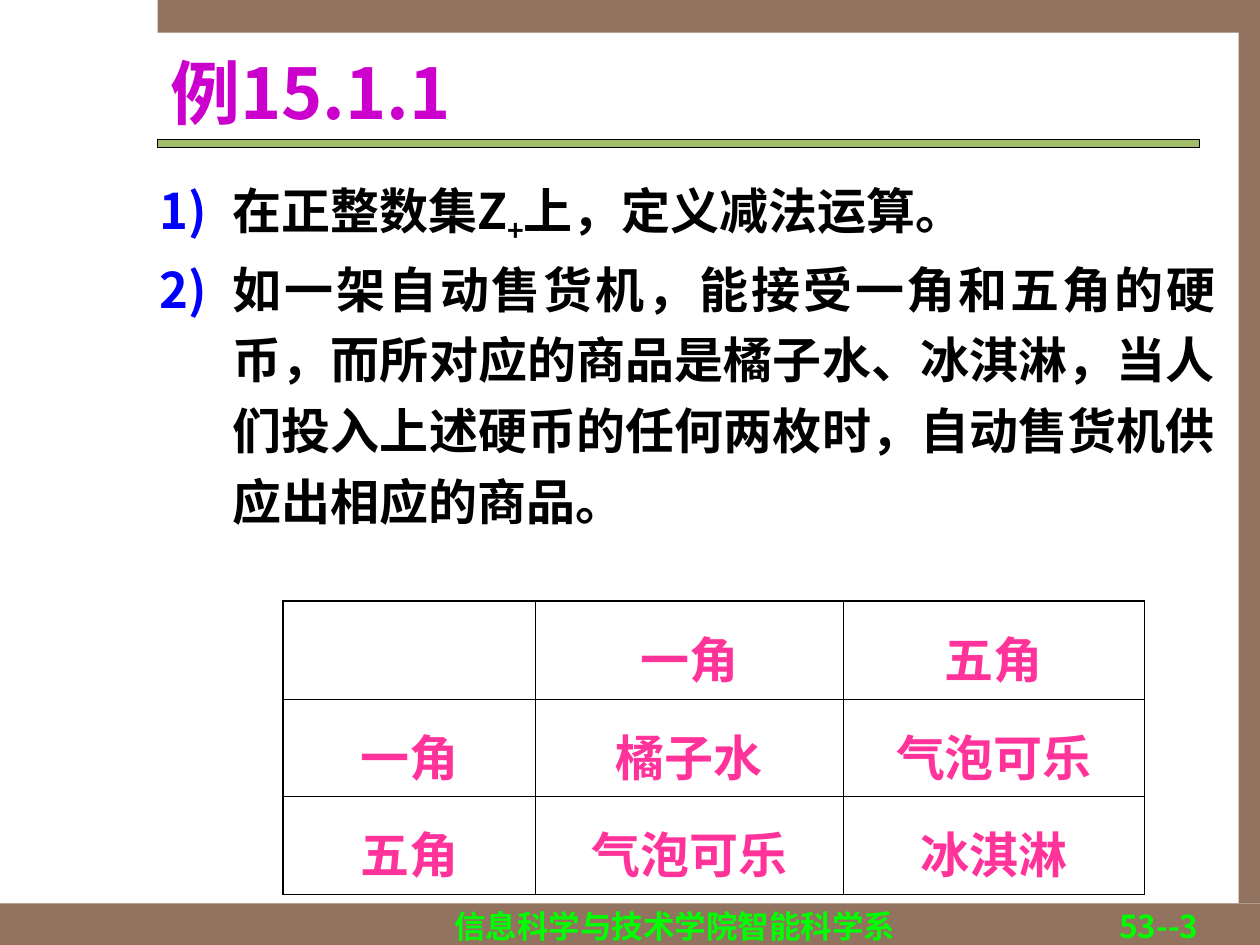
from lxml import etree
from pptx import Presentation
from pptx import util as u
from pptx.dml.color import RGBColor
from pptx.enum import shapes, text
from pptx.oxml import ns

# Content
TITLE = "例15.1.1"
ITEMS = [
    [("在正整数集Z", False), ("+", True), ("上，定义减法运算。", False)],
    [("如一架自动售货机，能接受一角和五角的硬币，而所对应的商品是橘子水、冰淇淋，"
      "当人们投入上述硬币的任何两枚时，自动售货机供应出相应的商品。", False)],
]
GRID = [
    ["", "一角", "五角"],
    ["一角", "橘子水", "气泡可乐"],
    ["五角", "气泡可乐", "冰淇淋"],
]
HEX = {"frame": "91735F", "rule": "A1BD69", "line": "000000", "foot": "00FF00",
       "title": "CC00CC", "body": "000000", "num": "0000FF", "cell": "FF3399"}
SANS, SERIF = "Noto Sans CJK SC", "Times New Roman"
ALIGN = text.PP_ALIGN

# Places in cm: left, top, width, height
FRAME = [(0, 18.21, 25.4, 0.84), (3.18, 0, 22.22, 0.66), (24.97, 0.64, 0.43, 17.57)]
RULE = (3.18, 2.82, 21, 0.15)
HEAD = (3.18, 0.84, 21, 2.01)
BODY = (2.97, 3.25, 21.79, 7.57)
FEET = [("信息科学与技术学院智能科学系", ALIGN.CENTER, (8.1, 18.16, 11, 0.46)),
        ("53--3", ALIGN.RIGHT, (19.13, 18.16, 5.28, 0.46))]
TABLE = (5.71, 12.12)
COLS, ROW = [5.08, 6.21, 6.07], 1.97
INDENT, LEAD = 1.47, 1.2
THICK, THIN = 1.08, 0.45


def cm(box):
    return [u.Cm(v) for v in box]


def color(key):
    return RGBColor.from_string(HEX[key])


def sub(parent, tag, **attrs):
    return etree.SubElement(parent, ns.qn(tag), attrs)


def add_run(para, words, size, key, face=SANS, low=False):
    run = para.add_run()
    run.text = words
    font = run.font
    font.size, font.bold, font.name = u.Pt(size), True, face
    font.color.rgb = color(key)
    sub(font._element, "a:ea", typeface=SANS)
    if low:
        font._element.set("baseline", "-25000")


def add_bar(box, key, edge=False):
    bar = slide.shapes.add_shape(shapes.MSO_SHAPE.RECTANGLE, *cm(box))
    bar.shadow.inherit = False
    bar.fill.solid()
    bar.fill.fore_color.rgb = color(key)
    if edge:
        bar.line.color.rgb = color("line")
        bar.line.width = u.Pt(0.75)
    else:
        bar.line.fill.background()


def add_text(box):
    frame = slide.shapes.add_textbox(*cm(box)).text_frame
    frame.word_wrap = True
    return frame


def number(para):
    props = para._p.get_or_add_pPr()
    props.set("marL", str(u.Cm(INDENT)))
    props.set("indent", str(-u.Cm(INDENT)))
    props.set("hangingPunct", "0")
    sub(sub(props, "a:buClr"), "a:srgbClr", val=HEX["num"])
    sub(props, "a:buFont", typeface=SANS)
    sub(props, "a:buAutoNum", type="arabicParenR")


def border(cell, outer):
    props = cell._tc.get_or_add_tcPr()
    for side, thick in zip("LRTB", outer):
        width = u.Pt(THICK if thick else THIN)
        line = sub(props, "a:ln" + side, w=str(width))
        sub(sub(line, "a:solidFill"), "a:srgbClr", val=HEX["line"])


deck = Presentation()
deck.slide_width, deck.slide_height = u.Cm(25.4), u.Cm(19.05)
slide = deck.slides.add_slide(deck.slide_layouts[5])

# Frame and rule
for box in FRAME:
    add_bar(box, "frame")
add_bar(RULE, "rule", edge=True)

# Footer
for words, align, box in FEET:
    para = add_text(box).paragraphs[0]
    para.alignment = align
    add_run(para, words, 18, "foot")

# Title
head = slide.shapes.title
head.left, head.top, head.width, head.height = cm(HEAD)
frame = head.text_frame
frame.auto_size = text.MSO_AUTO_SIZE.NONE
frame.vertical_anchor = text.MSO_ANCHOR.MIDDLE
para = frame.paragraphs[0]
para.alignment = ALIGN.JUSTIFY
add_run(para, TITLE, 40, "title")

# Numbered items
frame = add_text(BODY)
for i, item in enumerate(ITEMS):
    para = frame.add_paragraph() if i else frame.paragraphs[0]
    para.alignment = ALIGN.JUSTIFY
    para.line_spacing = LEAD
    number(para)
    for words, low in item:
        add_run(para, words, 28, "body", low=low)

# Table of coins and goods
rows, cols = len(GRID), len(COLS)
size = (sum(COLS), rows * ROW)
table = slide.shapes.add_table(rows, cols, *cm(TABLE + size)).table
table.first_row = table.horz_banding = False
for col, width in zip(table.columns, COLS):
    col.width = u.Cm(width)
for r, line in enumerate(GRID):
    table.rows[r].height = u.Cm(ROW)
    for c, words in enumerate(line):
        cell = table.cell(r, c)
        border(cell, (c == 0, c == cols - 1, r == 0, r == rows - 1))
        cell.fill.background()
        if words:
            para = cell.text_frame.paragraphs[0]
            para.alignment = ALIGN.CENTER
            para.line_spacing = LEAD
            add_run(para, words, 28, "cell", SERIF)

deck.save("out.pptx")
